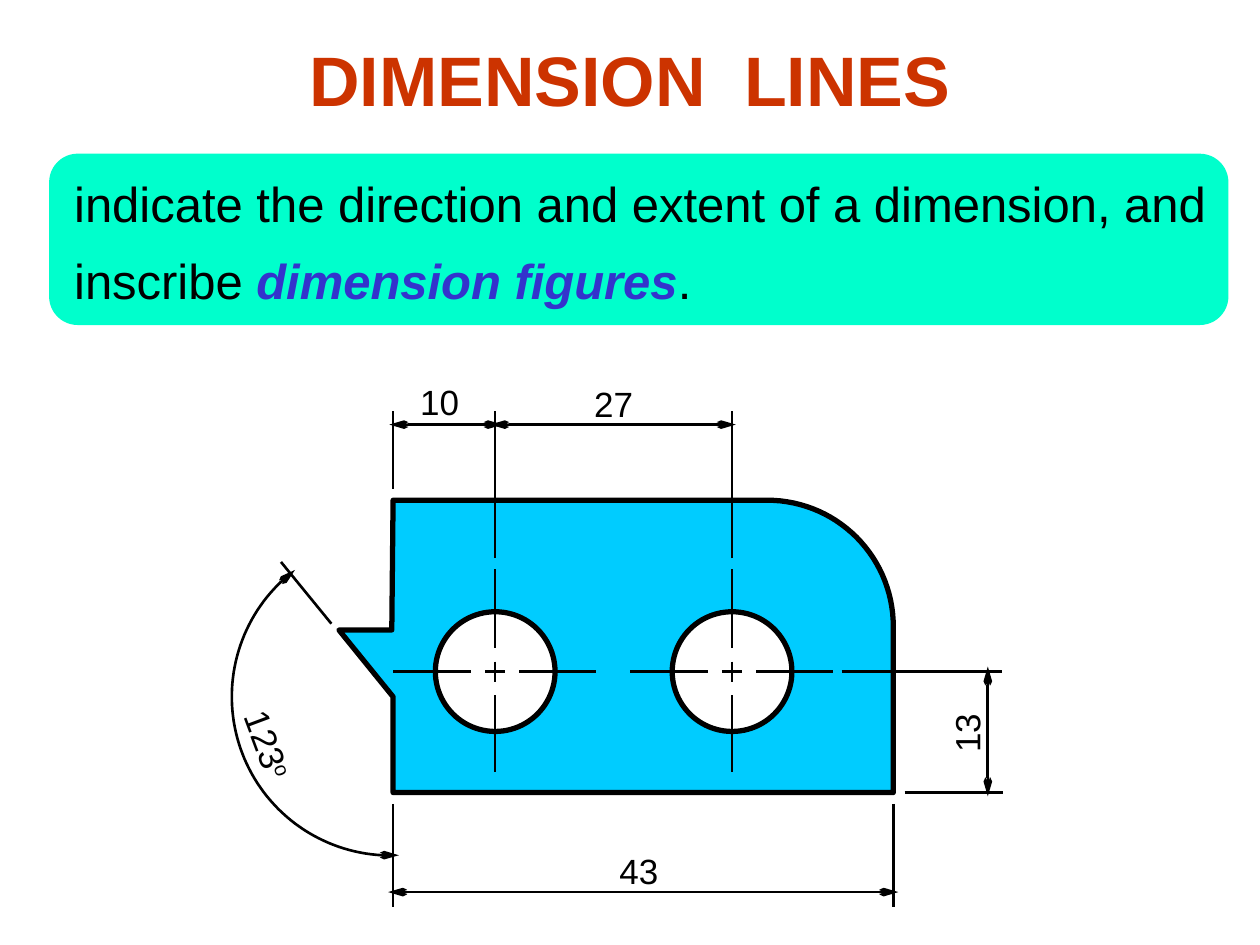
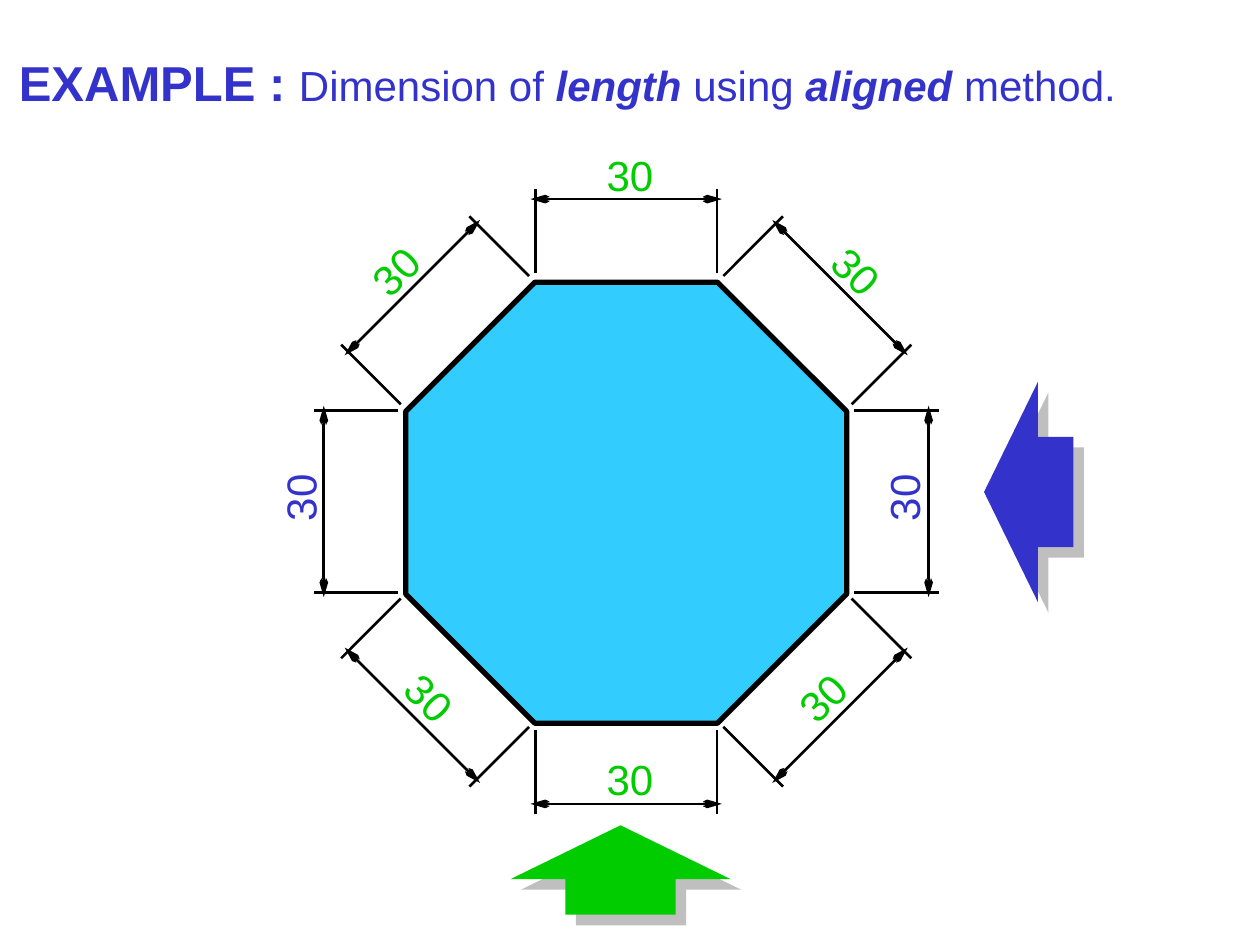
"""Build two slides on dimension lines in technical drawing."""
from dataclasses import dataclass
from math import cos, radians, sin

from lxml import etree
from pptx import Presentation
from pptx.dml.color import RGBColor
from pptx.enum.shapes import MSO_CONNECTOR, MSO_SHAPE
from pptx.enum.text import MSO_ANCHOR, MSO_AUTO_SIZE, PP_ALIGN
from pptx.oxml.ns import qn
from pptx.util import Inches, Pt

STRAIGHT = MSO_CONNECTOR.STRAIGHT
OVAL, OCTAGON, ROUNDED = MSO_SHAPE.OVAL, MSO_SHAPE.OCTAGON, MSO_SHAPE.ROUNDED_RECTANGLE
LEFT_ARROW, UP_ARROW = MSO_SHAPE.LEFT_ARROW, MSO_SHAPE.UP_ARROW
TOP, MIDDLE = MSO_ANCHOR.TOP, MSO_ANCHOR.MIDDLE
LEFT, CENTER = PP_ALIGN.LEFT, PP_ALIGN.CENTER
NO_FIT = MSO_AUTO_SIZE.NONE


@dataclass(frozen=True)
class Theme:
    font: str = "Arial"
    black: str = "000000"
    white: str = "FFFFFF"
    red: str = "CC3300"
    blue: str = "3333CC"
    green: str = "00CC00"
    mint: str = "00FFCC"
    plate: str = "00CCFF"
    octagon: str = "33CCFF"
    shadow: str = "808080"
    title: int = 40
    body: int = 28
    subtitle: int = 24
    figure: int = 20
    outline: float = 3
    thin: float = 1.5


T = Theme()


def write(tf, text, size=T.body, color=T.black, bold=False, italic=False, raised=False):
    p = tf.paragraphs[0]
    r = p.add_run()
    r.text = text
    r.font.name, r.font.size = T.font, Pt(size)
    r.font.bold, r.font.italic = bold, italic
    r.font.color.rgb = RGBColor.from_string(color)
    if raised:
        r.font._element.set("baseline", "30000")
    return p


def stroke(shape, width=T.thin, arrows=False):
    shape.line.color.rgb = RGBColor.from_string(T.black)
    shape.line.width = Pt(width)
    if arrows:
        ln = shape.line._get_or_add_ln()
        for end in ("a:headEnd", "a:tailEnd"):
            etree.SubElement(ln, qn(end), type="arrow", w="sm", len="lg")
    etree.SubElement(shape._element.spPr, qn("a:effectLst"))


prs = Presentation()
prs.slide_width, prs.slide_height = Inches(10), Inches(7.5)
title_only = prs.slide_layouts[5]
s1, s2 = (prs.slides.add_slide(title_only) for _ in range(2))

for s, box, anchor, align, runs in [
    (s1, (0.75, 0, 8.5, 1.25), MIDDLE, CENTER,
     [("DIMENSION  LINES", dict(size=T.title, color=T.red, bold=True))]),
    (s2, (0.05, 0.37, 9.5, 0.57), TOP, LEFT,
     [("EXAMPLE : ", dict(color=T.blue, bold=True)),
      ("Dimension of ", dict(size=T.subtitle, color=T.blue)),
      ("length", dict(size=T.subtitle, color=T.blue, bold=True, italic=True)),
      (" using ", dict(size=T.subtitle, color=T.blue)),
      ("aligned", dict(size=T.subtitle, color=T.blue, bold=True, italic=True)),
      (" method.", dict(size=T.subtitle, color=T.blue))]),
]:
    title = s.shapes.title
    title.left, title.top, title.width, title.height = map(Inches, box)
    tf = title.text_frame
    tf.auto_size, tf.word_wrap, tf.vertical_anchor = NO_FIT, True, anchor
    for text, fmt in runs:
        p = write(tf, text, **fmt)
    p.alignment = align

panel = s1.shapes.add_shape(ROUNDED, Inches(0.39), Inches(1.22), Inches(9.36), Inches(1.36))
panel.adjustments[0] = 0.167
panel.shadow.inherit = False
panel.fill.solid()
panel.fill.fore_color.rgb = RGBColor.from_string(T.mint)
panel.line.fill.background()
tf = s1.shapes.add_textbox(Inches(0.49), Inches(1.19), Inches(9.28), Inches(1.32)).text_frame
tf.word_wrap = True
write(tf, "indicate the direction and extent of a dimension, and inscribe ")
write(tf, "dimension figures", color=T.blue, bold=True, italic=True)
p = write(tf, ".")
p.line_spacing = 1.3

corner = [(6.09 + sin(radians(a)), 4.97 - cos(radians(a))) for a in range(0, 91, 3)]
plate_outline = [(3.12, 3.97), *corner, (7.09, 6.29), (3.12, 6.29),
                 (3.12, 5.53), (2.69, 5), (3.11, 5)]
angle_arc = [(3.1 + 1.26 * cos(radians(a)), 5.53 + 1.26 * sin(radians(a)))
             for a in range(87, 234, 2)]
for points, closed in [(plate_outline, True), (angle_arc, False)]:
    points = [(Inches(x), Inches(y)) for x, y in points]
    builder = s1.shapes.build_freeform(*points[0])
    builder.add_line_segments(points[1:], close=closed)
    outline = builder.convert_to_shape()
    if closed:
        outline.fill.solid()
        outline.fill.fore_color.rgb = RGBColor.from_string(T.plate)
    else:
        outline.fill.background()
    stroke(outline, T.outline if closed else T.thin, arrows=not closed)

hole_xs, hole_y, hole_d = (3.93, 5.81), 5.33, 0.95
solids = [(s1, OVAL, x - hole_d / 2, hole_y - hole_d / 2, hole_d, T.white) for x in hole_xs]
solids.append((s2, OCTAGON, 3.22, 2.24, 3.5, T.octagon))
for s, kind, x, y, size, color in solids:
    sp = s.shapes.add_shape(kind, Inches(x), Inches(y), Inches(size), Inches(size))
    if kind == OCTAGON:
        sp.adjustments[0] = 0.293
    sp.fill.solid()
    sp.fill.fore_color.rgb = RGBColor.from_string(color)
    stroke(sp, T.outline)

lines = [
    (s1, 3.12, 6.38, 3.12, 7.2, False),
    (s1, 7.09, 6.38, 7.09, 7.2, False),
    (s1, 3.12, 3.88, 3.12, 3.26, False),
    (s1, 6.68, 5.33, 7.95, 5.33, False),
    (s1, 7.18, 6.29, 7.96, 6.29, False),
    (s1, 2.63, 4.95, 2.23, 4.46, False),
    (s1, 3.09, 3.37, 3.99, 3.37, True),
    (s1, 3.89, 3.37, 5.84, 3.37, True),
    (s1, 3.08, 7.08, 7.13, 7.08, True),
    (s1, 7.84, 5.29, 7.84, 6.32, True),
]
for x in hole_xs:
    lines.append((s1, x, 4.43, x, 3.26, False))
    for a, b in [(-0.81, -0.19), (-0.08, 0.08), (0.19, 0.8)]:
        lines.append((s1, x + a, hole_y, x + b, hole_y, False))
        lines.append((s1, x, hole_y + a, x, hole_y + b, False))

labels = [
    (s1, "10", 3.49, 3.19, 0, T.figure, T.black),
    (s1, "27", 4.87, 3.2, 0, T.figure, T.black),
    (s1, "43", 5.07, 6.91, 0, T.figure, T.black),
    (s1, "13", 7.67, 5.82, 270, T.figure, T.black),
    (s1, "123", 2.13, 5.91, 69.5, T.figure, T.black),
]

cx, cy = 4.97, 3.98
for side in range(8):
    turn = radians(45 * side)
    out_x, out_y = sin(turn), -cos(turn)
    along_x, along_y = cos(turn), sin(turn)
    for (out1, along1), (out2, along2), arrows in [
        ((1.81, -0.72), (2.48, -0.72), False),
        ((1.81, 0.72), (2.48, 0.72), False),
        ((2.4, -0.76), (2.4, 0.76), True),
    ]:
        lines.append((s2, cx + out1 * out_x + along1 * along_x,
                      cy + out1 * out_y + along1 * along_y,
                      cx + out2 * out_x + along2 * along_x,
                      cy + out2 * out_y + along2 * along_y, arrows))
    gap = 2.59 if side in (0, 1, 6, 7) else 2.2
    rotation = (0, 45, 270, 315)[side % 4]
    shift = 0 if side % 2 else 0.03
    labels.append((s2, "30", cx + gap * out_x + shift * cos(radians(rotation)),
                   cy + gap * out_y + shift * sin(radians(rotation)),
                   rotation, T.subtitle, T.blue if side % 4 == 2 else T.green))

for s, x1, y1, x2, y2, arrows in lines:
    stroke(s.shapes.add_connector(STRAIGHT, *map(Inches, (x1, y1, x2, y2))), arrows=arrows)

for s, text, x, y, rotation, size, color in labels:
    w, h = 1, 0.5
    box = s.shapes.add_textbox(Inches(x - w / 2), Inches(y - h / 2), Inches(w), Inches(h))
    box.rotation = rotation
    tf = box.text_frame
    tf.word_wrap, tf.vertical_anchor = False, MIDDLE
    p = write(tf, text, size=size, color=color)
    p.alignment = CENTER
    if text == "123":
        write(tf, "o", size=size, color=color, raised=True)

for kind, box, color in [
    (LEFT_ARROW, (7.81, 3.03, 0.71, 1.75), T.blue),
    (UP_ARROW, (4.05, 6.55, 1.75, 0.71), T.green),
]:
    sp = s2.shapes.add_shape(kind, *map(Inches, box))
    sp.adjustments[0], sp.adjustments[1] = 0.5, 0.603
    sp.fill.solid()
    sp.fill.fore_color.rgb = RGBColor.from_string(color)
    sp.line.fill.background()
    effects = etree.SubElement(sp._element.spPr, qn("a:effectLst"))
    shadow = etree.SubElement(effects, qn("a:outerShdw"), dist=str(Pt(8.5)),
                              dir="2700000", algn="ctr", rotWithShape="0")
    tint = etree.SubElement(shadow, qn("a:srgbClr"), val=T.shadow)
    etree.SubElement(tint, qn("a:alpha"), val="50000")

prs.save("out.pptx")
